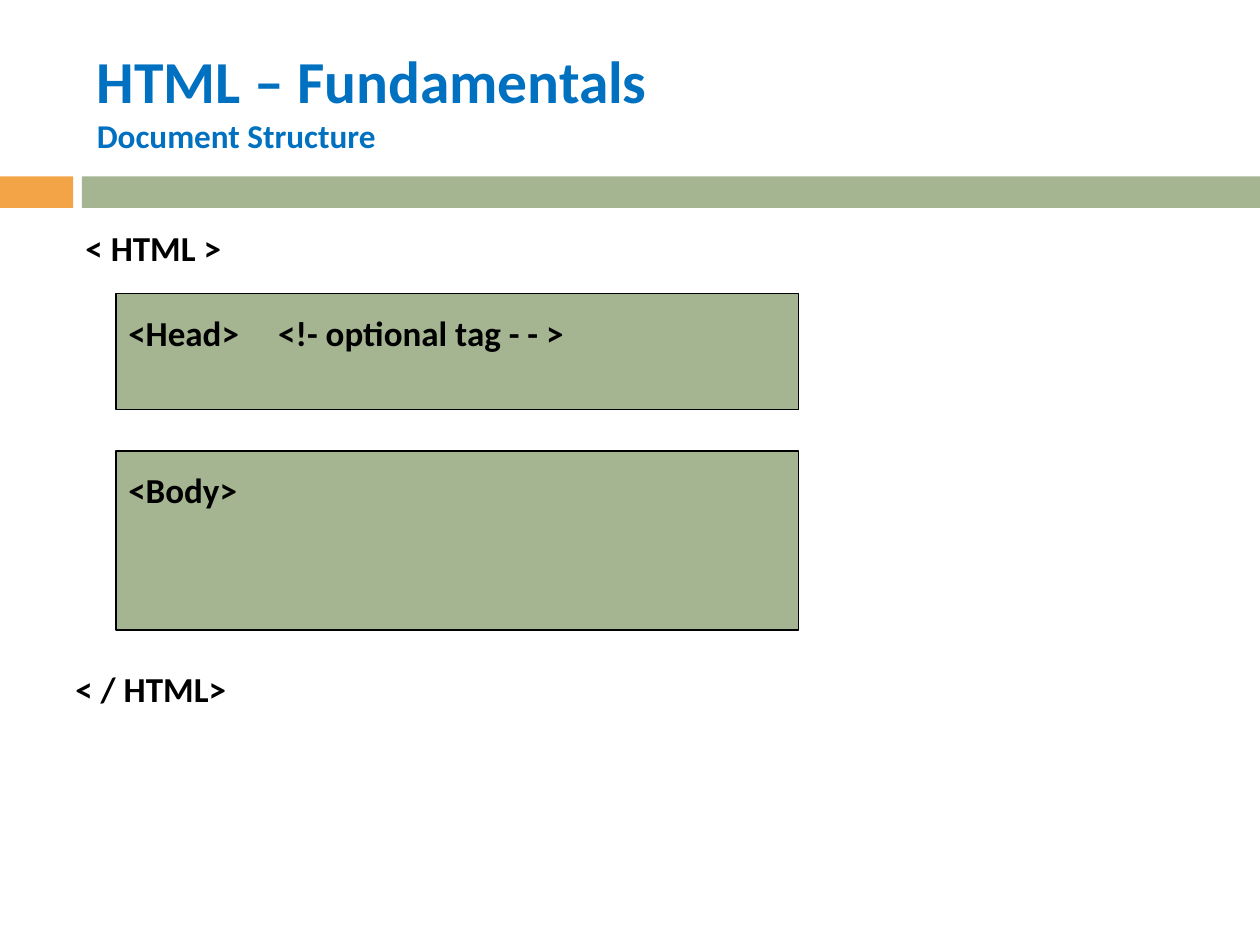
from typing import NamedTuple, Optional

from lxml.etree import SubElement
from pptx import Presentation
from pptx.dml.color import RGBColor
from pptx.enum.shapes import MSO_SHAPE
from pptx.enum.text import MSO_ANCHOR
from pptx.oxml.ns import qn
from pptx.slide import Slide
from pptx.util import Inches, Pt

ORANGE = "F3A447"
GREEN = "A5B592"
BLUE = "0070C0"
BLACK = "000000"


class Block(NamedTuple):
    left: float
    top: float
    width: float
    height: float
    fill: str
    outline: Optional[str] = None


class Line(NamedTuple):
    text: str
    size: int = 20
    color: str = BLACK


class Label(NamedTuple):
    left: float
    top: float
    width: float
    height: float
    lines: list[Line]
    anchor: MSO_ANCHOR = MSO_ANCHOR.TOP
    tab_stop: Optional[float] = None


BLOCKS = [
    Block(0, 1.4, 0.58, 0.25, ORANGE),
    Block(0.65, 1.4, 9.35, 0.25, GREEN),
    Block(0.92, 2.33, 5.42, 0.92, GREEN, BLACK),
    Block(0.92, 3.58, 5.42, 1.42, GREEN, BLACK),
]

LABELS = [
    Label(0.67, 0.25, 8.92, 1.08,
          [Line("HTML – Fundamentals", 34, BLUE), Line("Document Structure", 19, BLUE)],
          MSO_ANCHOR.MIDDLE),
    Label(0.58, 1.75, 1.92, 0.43, [Line("< HTML >")]),
    Label(0.92, 2.42, 5.17, 0.43, [Line("<Head>\t<!- optional tag - - >")], tab_stop=1.19),
    Label(0.92, 3.67, 1.83, 0.43, [Line("<Body>")]),
    Label(0.5, 5.25, 1.92, 0.43, [Line("< / HTML>")]),
]


def rgb(value: str) -> RGBColor:
    return RGBColor.from_string(value)


def draw_block(page: Slide, block: Block) -> None:
    shape = page.shapes.add_shape(
        MSO_SHAPE.RECTANGLE, Inches(block.left), Inches(block.top),
        Inches(block.width), Inches(block.height))
    shape.shadow.inherit = False
    shape.fill.solid()
    shape.fill.fore_color.rgb = rgb(block.fill)
    if block.outline:
        shape.line.color.rgb = rgb(block.outline)
        shape.line.width = Pt(0.75)
    else:
        shape.line.fill.background()


def draw_label(page: Slide, label: Label) -> None:
    box = page.shapes.add_textbox(
        Inches(label.left), Inches(label.top), Inches(label.width), Inches(label.height))
    frame = box.text_frame
    frame.word_wrap = True
    frame.vertical_anchor = label.anchor
    frame.text = "\n".join(line.text for line in label.lines)
    for para, line in zip(frame.paragraphs, label.lines):
        for span in para.runs:
            span.font.name = "Calibri"
            span.font.size = Pt(line.size)
            span.font.bold = True
            span.font.color.rgb = rgb(line.color)
        if label.tab_stop:
            stops = SubElement(para._p.get_or_add_pPr(), qn("a:tabLst"))
            SubElement(stops, qn("a:tab"), pos=str(Inches(label.tab_stop)), algn="l")


def main() -> None:
    deck = Presentation()
    deck.slide_width = Inches(10)
    deck.slide_height = Inches(7.5)
    page = deck.slides.add_slide(deck.slide_layouts[6])
    for block in BLOCKS:
        draw_block(page, block)
    for label in LABELS:
        draw_label(page, label)
    deck.save("out.pptx")


if __name__ == "__main__":
    main()
